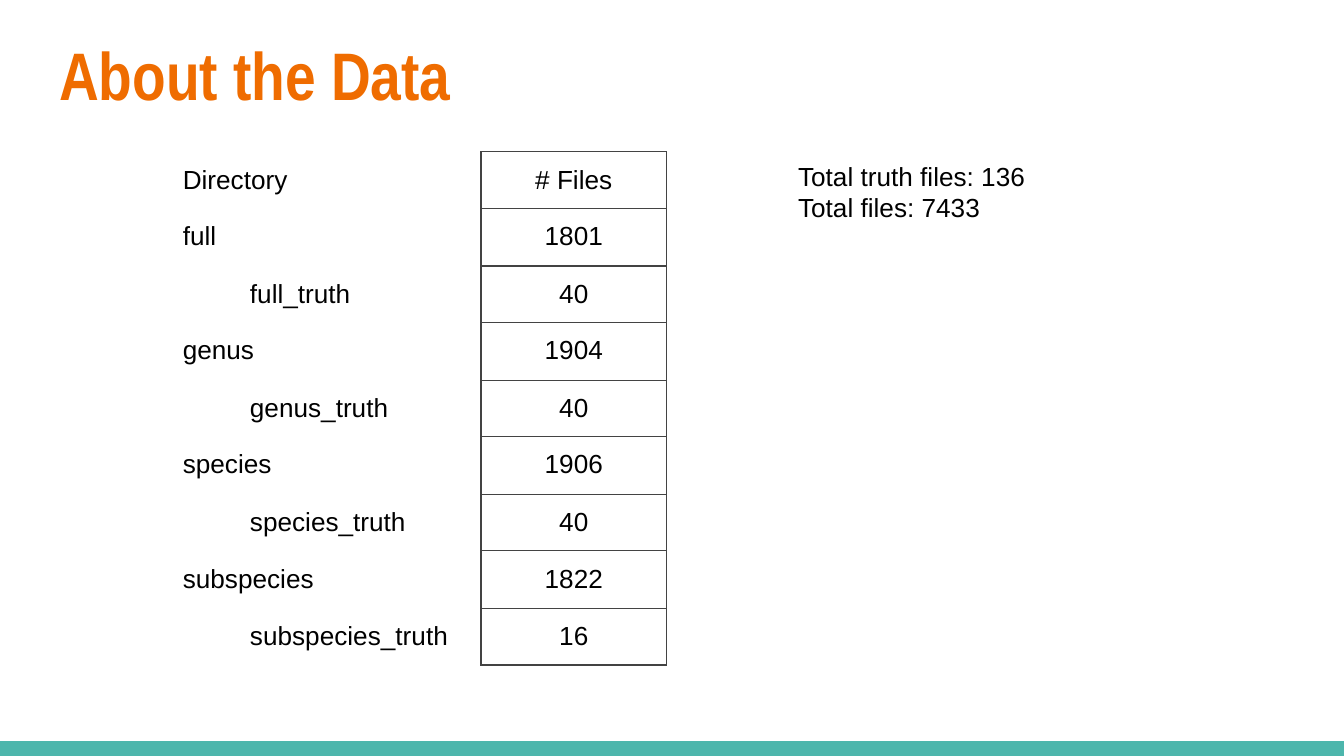
from dataclasses import dataclass

from lxml import etree
from pptx import Presentation
from pptx.dml.color import RGBColor
from pptx.enum import shapes, text
from pptx.oxml import ns
from pptx.util import Inches, Pt


@dataclass(frozen=True)
class Theme:
    accent: str = "EF6C00"
    bar: str = "4DB6AC"
    ink: str = "000000"
    rule: str = "434343"
    head: str = "Arial Narrow"
    body: str = "Arial"
    big: int = 36
    small: int = 14
    line: float = 0.75
    plain: str = "{2D5ABB26-0587-4C30-8999-92F81FD0307C}"


@dataclass(frozen=True)
class Entry:
    name: str
    count: str
    depth: int = 0


THEME = Theme()
ENTRIES = [
    Entry("Directory", "# Files"),
    Entry("full", "1801"),
    Entry("full_truth", "40", 1),
    Entry("genus", "1904"),
    Entry("genus_truth", "40", 1),
    Entry("species", "1906"),
    Entry("species_truth", "40", 1),
    Entry("subspecies", "1822"),
    Entry("subspecies_truth", "16", 1),
]
TOTALS = ["Total truth files: 136", "Total files: 7433"]
INSET = Inches(0.1)
WIDE = Inches(10)
HIGH = WIDE * 9 // 16


def add_run(para, words: str, font: str = THEME.body, size: int = THEME.small,
            color: str = THEME.ink, bold: bool = False) -> None:
    run = para.add_run()
    run.text = words
    run.font.name = font
    run.font.size = Pt(size)
    run.font.bold = bold
    run.font.color.rgb = RGBColor.from_string(color)


def set_frame(frame) -> None:
    frame.word_wrap = True
    frame.auto_size = text.MSO_AUTO_SIZE.NONE
    frame.margin_left = frame.margin_right = INSET
    frame.margin_top = frame.margin_bottom = INSET


def add_edge(cell, side: str) -> None:
    props = cell._tc.get_or_add_tcPr()
    edge = etree.SubElement(props, ns.qn(f"a:ln{side}"), w=str(Pt(THEME.line)))
    fill = etree.SubElement(edge, ns.qn("a:solidFill"))
    etree.SubElement(fill, ns.qn("a:srgbClr"), val=THEME.rule)


def fill_cell(cell, words: str, sides: str, depth: int = 0, mid: bool = False) -> None:
    cell.margin_left = cell.margin_right = INSET
    cell.margin_top = cell.margin_bottom = INSET
    for side in sides:
        add_edge(cell, side)
    cell.fill.background()
    para = cell.text_frame.paragraphs[0]
    if mid:
        para.alignment = text.PP_ALIGN.CENTER
    if depth:
        para._p.get_or_add_pPr().set("marL", str(Inches(0.5 * depth)))
    add_run(para, words)


def add_bar(slide) -> None:
    tall = Inches(0.11)
    bar = slide.shapes.add_shape(shapes.MSO_SHAPE.RECTANGLE, 0, HIGH - tall, WIDE, tall)
    bar.shadow.inherit = False
    bar.fill.solid()
    bar.fill.fore_color.rgb = RGBColor.from_string(THEME.bar)
    bar.line.fill.background()


def add_title(slide) -> None:
    title = slide.shapes.title
    title.left, title.top = Inches(0.34), Inches(0.15)
    title.width, title.height = Inches(9.32), Inches(0.77)
    set_frame(title.text_frame)
    title.text_frame.vertical_anchor = text.MSO_ANCHOR.TOP
    para = title.text_frame.paragraphs[0]
    para.alignment = text.PP_ALIGN.LEFT
    add_run(para, "About the Data", THEME.head, THEME.big, THEME.accent, True)


def add_files(slide, entries: list[Entry]) -> None:
    grid = slide.shapes.add_table(len(entries), 2, Inches(1.26), Inches(1.13),
                                  Inches(3.7), Inches(3.82)).table
    grid.first_row = grid.horz_banding = False
    grid._tbl.tblPr.find(ns.qn("a:tableStyleId")).text = THEME.plain
    grid.columns[0].width = Inches(2.32)
    grid.columns[1].width = Inches(1.38)
    for row, entry in enumerate(entries):
        grid.rows[row].height = Inches(0.43 if row % 2 else 0.42)
        fill_cell(grid.cell(row, 0), entry.name, "R", entry.depth)
        fill_cell(grid.cell(row, 1), entry.count, "LRTB", mid=True)


def add_totals(slide, lines: list[str]) -> None:
    box = slide.shapes.add_textbox(Inches(5.84), Inches(1.09), Inches(2.86), Inches(0.96))
    frame = box.text_frame
    set_frame(frame)
    for num, line in enumerate(lines):
        add_run(frame.add_paragraph() if num else frame.paragraphs[0], line)


def main() -> None:
    deck = Presentation()
    deck.slide_width, deck.slide_height = WIDE, HIGH
    slide = deck.slides.add_slide(deck.slide_layouts[5])
    add_bar(slide)
    add_title(slide)
    add_files(slide, ENTRIES)
    add_totals(slide, TOTALS)
    deck.save("out.pptx")


if __name__ == "__main__":
    main()
